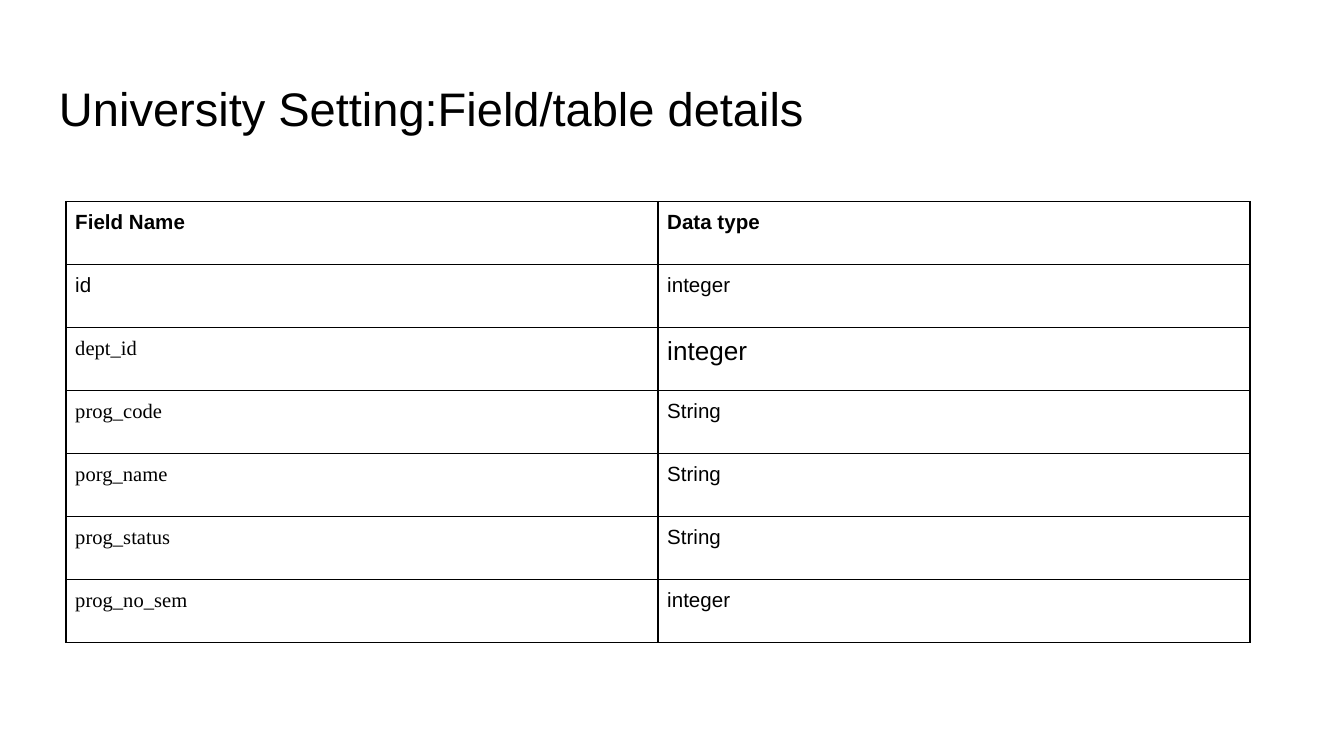
from lxml import etree
from pptx import Presentation
from pptx.dml.color import RGBColor
from pptx.enum.text import MSO_ANCHOR
from pptx.oxml.ns import qn
from pptx.util import Inches, Pt

TOP, MIDDLE = MSO_ANCHOR.TOP, MSO_ANCHOR.MIDDLE

TITLE = "University Setting:Field/table details"
HEADER = ("Field Name", "Data type")
FIELDS = [
    ("id", "integer"),
    ("dept_id", "integer"),
    ("prog_code", "String"),
    ("porg_name", "String"),
    ("prog_status", "String"),
    ("prog_no_sem", "integer"),
]
THEME = {
    "ink": "000000",
    "paper": "FFFFFF",
    "sans": "Arial",
    "serif": "Times New Roman",
    "title": 25.2,
    "body": 11,
    "large": 14,
    "border": 1,
}
SLIDE = (10, 10 * 9 / 16)
TITLE_BOX = (0.34, 0.49, 9.32, 0.63)
TABLE_BOX = (0.49, 1.5, 8.81, 3.28)
SERIF_FROM_ROW = 2
LARGE_CELL = (2, 1)


def write(frame, text, size, name=THEME["sans"], bold=False):
    span = frame.paragraphs[0].add_run()
    span.text = text
    formats = {"size": Pt(size), "name": name, "bold": bold}
    for key, value in formats.items():
        setattr(span.font, key, value)
    span.font.color.rgb = RGBColor.from_string(THEME["ink"])


def set_margins(target, inches):
    for side in ("left", "top", "right", "bottom"):
        setattr(target, f"margin_{side}", Inches(inches))


def draw_borders(cell):
    properties = cell._tc.get_or_add_tcPr()
    for position, side in enumerate(("lnL", "lnR", "lnT", "lnB")):
        line = etree.Element(qn(f"a:{side}"), w=str(Pt(THEME["border"])))
        fill = etree.SubElement(line, qn("a:solidFill"))
        etree.SubElement(fill, qn("a:srgbClr"), val=THEME["ink"])
        properties.insert(position, line)


def add_title(page):
    box = page.shapes.add_textbox(*map(Inches, TITLE_BOX))
    frame = box.text_frame
    frame.word_wrap = True
    frame.vertical_anchor = MIDDLE
    set_margins(frame, 0.1)
    write(frame, TITLE, THEME["title"])


def add_field_table(page):
    rows = [HEADER, *FIELDS]
    left, top, width, height = map(Inches, TABLE_BOX)
    table = page.shapes.add_table(
        len(rows), len(HEADER), left, top, width, height
    ).table
    table.first_row = table.horz_banding = False
    for row_index, row in enumerate(rows):
        for column_index, text in enumerate(row):
            cell = table.cell(row_index, column_index)
            set_margins(cell, 0.07)
            cell.vertical_anchor = TOP
            cell.fill.background()
            draw_borders(cell)
            serif = column_index == 0 and row_index >= SERIF_FROM_ROW
            large = (row_index, column_index) == LARGE_CELL
            write(
                cell.text_frame,
                text,
                THEME["large" if large else "body"],
                THEME["serif" if serif else "sans"],
                bold=row_index == 0,
            )


def main():
    deck = Presentation()
    deck.slide_width, deck.slide_height = map(Inches, SLIDE)
    page = deck.slides.add_slide(deck.slide_layouts[6])
    page.background.fill.solid()
    page.background.fill.fore_color.rgb = RGBColor.from_string(THEME["paper"])
    add_title(page)
    add_field_table(page)
    deck.save("out.pptx")


if __name__ == "__main__":
    main()
